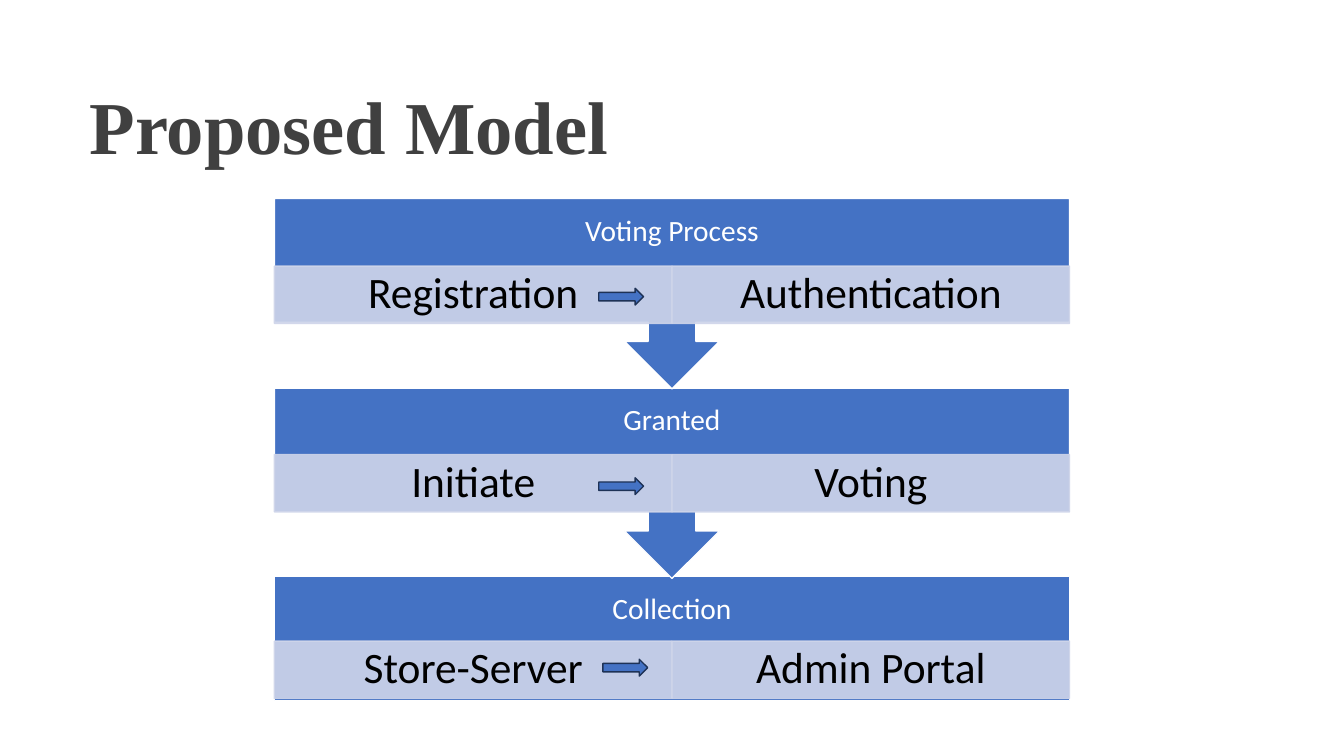
import pptx
import pptx.dml.color
import pptx.enum.shapes
import pptx.enum.text
import pptx.oxml
import pptx.oxml.ns
import pptx.util

Pt = pptx.util.Pt
SHAPES = pptx.enum.shapes.MSO_SHAPE
ALIGN = pptx.enum.text.PP_ALIGN
ANCHOR = pptx.enum.text.MSO_ANCHOR

COLORS = {
    "title": "404040",
    "stage": "4472C4",
    "step": "CFD5EA",
    "arrow_line": "1E3256",
    "white": "FFFFFF",
    "black": "000000",
}

STAGE_LEFT, STAGE_WIDTH = 196, 568
STAGE_HEIGHT, LAST_STAGE_HEIGHT = 136, 88.6
HEADER_HEIGHT, STEP_HEIGHT = 47.5, 41
STEP_WIDTH = STAGE_WIDTH / 2

STAGES = [
    ("Collection", ("Store-Server", "Admin Portal"), 411.8, 458, (430.6, 470.9)),
    ("Granted", ("Initiate", "Voting"), 277.2, 324.7, (427.7, 341.3)),
    ("Voting Process", ("Registration", "Authentication"), 141.8, 190.1, (427.7, 205.9)),
]


def rgb(name):
    return pptx.dml.color.RGBColor.from_string(COLORS[name])


def set_opacity(color_format_fill, percent):
    for color in color_format_fill.iter(pptx.oxml.ns.qn("a:srgbClr")):
        namespace = pptx.oxml.ns.nsdecls("a")
        color.append(pptx.oxml.parse_xml(f'<a:alpha {namespace} val="{percent * 1000}"/>'))


def write_text(shape, text, size, color, font="Calibri", bold=False, align=ALIGN.CENTER,
               anchor=ANCHOR.MIDDLE, spacing=0.9, inset=(0, 0), wrap=True):
    frame = shape.text_frame
    frame.word_wrap = wrap
    frame.vertical_anchor = anchor
    frame.margin_left = frame.margin_right = Pt(inset[0])
    frame.margin_top = frame.margin_bottom = Pt(inset[1])
    paragraph = frame.paragraphs[0]
    paragraph.alignment = align
    paragraph.line_spacing = spacing
    run = paragraph.add_run()
    run.text = text
    run.font.name = font
    run.font.size = Pt(size)
    run.font.bold = bold
    run.font.color.rgb = rgb(color)


def add_text_box(slide, box, text, **text_format):
    shape = slide.shapes.add_textbox(*map(Pt, box))
    write_text(shape, text, **text_format)
    return shape


def add_block(slide, kind, box, fill, line, opacity=None):
    shape = slide.shapes.add_shape(kind, *map(Pt, box))
    shape.shadow.inherit = False
    shape.fill.solid()
    shape.fill.fore_color.rgb = rgb(fill)
    shape.line.color.rgb = rgb(line)
    shape.line.width = Pt(1)
    if opacity is not None:
        set_opacity(shape.element.spPr, opacity)
    return shape


def add_stage(slide, header, steps, top, step_top, is_last):
    kind = SHAPES.RECTANGLE if is_last else SHAPES.UP_ARROW_CALLOUT
    height = LAST_STAGE_HEIGHT if is_last else STAGE_HEIGHT
    body = add_block(slide, kind, (STAGE_LEFT, top, STAGE_WIDTH, height), "stage", "white")
    body.rotation = 0 if is_last else 180
    add_text_box(slide, (STAGE_LEFT, top, STAGE_WIDTH, HEADER_HEIGHT), header,
                 size=21, color="white", inset=(11.5, 11.5))
    for column, step in enumerate(steps):
        box = (STAGE_LEFT + column * STEP_WIDTH, step_top, STEP_WIDTH, STEP_HEIGHT)
        shape = add_block(slide, SHAPES.RECTANGLE, box, "step", "step", opacity=90)
        write_text(shape, step, size=31, color="black", inset=(17.3, 2.9))


def main():
    presentation = pptx.Presentation()
    presentation.slide_width = Pt(960)
    presentation.slide_height = Pt(540)
    slide = presentation.slides.add_slide(presentation.slide_layouts[6])

    title = add_text_box(slide, (64, 62, 422, 59.8), "Proposed Model", size=53.3,
                         color="title", font="Times New Roman", bold=True,
                         align=ALIGN.LEFT, anchor=ANCHOR.TOP, spacing=Pt(58.7))
    title.text_frame.auto_size = pptx.enum.text.MSO_AUTO_SIZE.SHAPE_TO_FIT_TEXT

    for index, (header, steps, top, step_top, _) in enumerate(STAGES):
        add_stage(slide, header, steps, top, step_top, is_last=index == 0)
    for *_, arrow_position in STAGES:
        add_block(slide, SHAPES.RIGHT_ARROW, (*arrow_position, 32, 12), "stage", "arrow_line")

    presentation.save("out.pptx")


if __name__ == "__main__":
    main()
